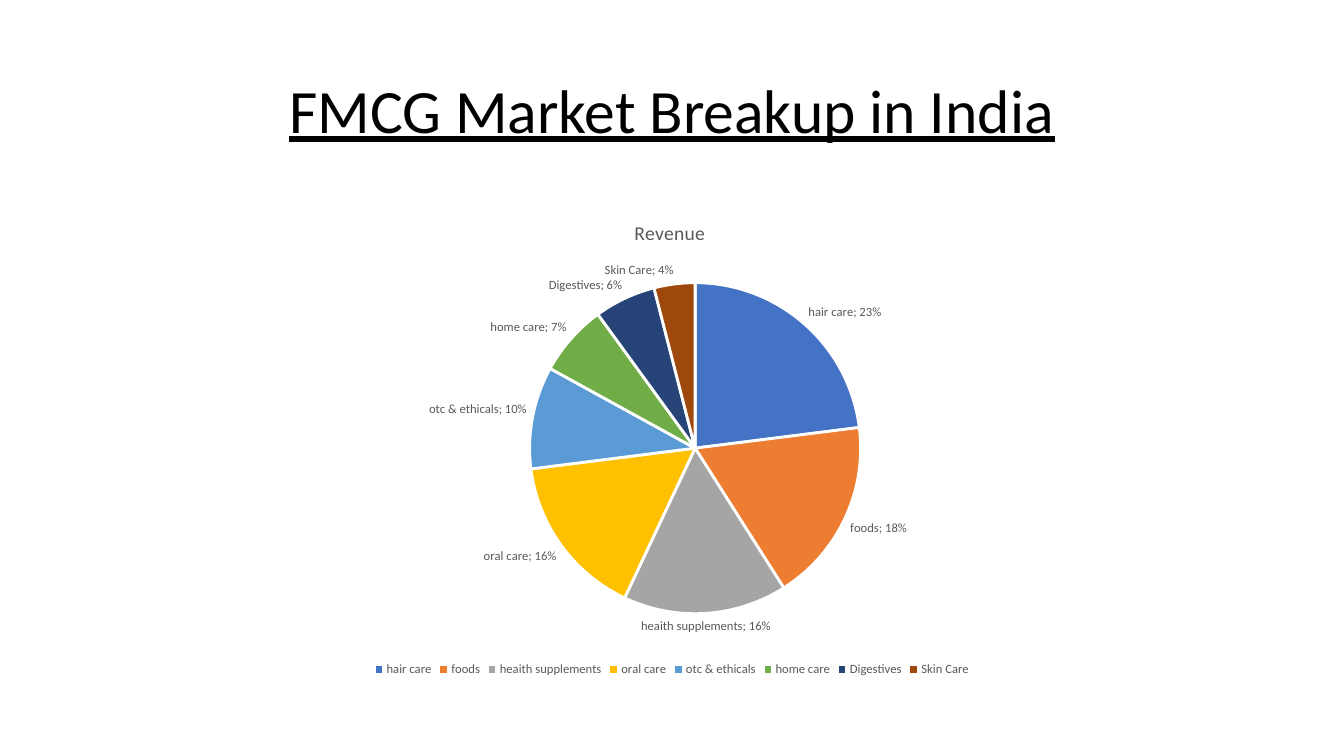
"""Build a slide with a pie chart of the FMCG market breakup in India."""
from lxml.etree import SubElement
from pptx import Presentation
from pptx.chart.data import CategoryChartData
from pptx.dml.color import RGBColor
from pptx.enum.chart import XL_CHART_TYPE, XL_LABEL_POSITION, XL_LEGEND_POSITION
from pptx.enum.text import MSO_ANCHOR, PP_ALIGN
from pptx.oxml.ns import qn
from pptx.util import Cm, Pt

HEADING = "FMCG Market Breakup in India"
CHART_TITLE = "Revenue "
SEGMENTS = [
    ("hair care", 23, "4472C4"),
    ("foods", 18, "ED7D31"),
    ("heaith supplements", 16, "A5A5A5"),
    ("oral care", 16, "FFC000"),
    ("otc & ethicals", 10, "5B9BD5"),
    ("home care", 7, "70AD47"),
    ("Digestives", 6, "264478"),
    ("Skin Care", 4, "9E480E"),
]
PIE_AREA = {"x": 0.37, "y": 0.17, "w": 0.3, "h": 0.69}
LABEL_SEPARATOR = "; "
LEFT, WIDTH = Cm(2.33), Cm(29.21)


def color(hex_code):
    return RGBColor.from_string(hex_code)


def style(font, size, hex_code):
    font.name = "Calibri"
    font.size = Pt(size)
    font.bold = False
    font.color.rgb = color(hex_code)


def add_heading(page):
    box = page.shapes.add_textbox(LEFT, Cm(1.01), WIDTH, Cm(3.68))
    frame = box.text_frame
    frame.word_wrap = True
    frame.vertical_anchor = MSO_ANCHOR.MIDDLE
    para = frame.paragraphs[0]
    para.text = HEADING
    para.alignment = PP_ALIGN.CENTER
    para.line_spacing = 0.9
    style(para.font, 44, "000000")
    para.font.underline = True


def place_pie(chart):
    plot_area = chart.element.find(".//" + qn("c:plotArea"))
    layout = plot_area.find(qn("c:layout"))
    if layout is None:
        layout = SubElement(plot_area, qn("c:layout"))
        plot_area.insert(0, layout)
    manual = SubElement(layout, qn("c:manualLayout"))
    settings = {"layoutTarget": "inner", "xMode": "edge", "yMode": "edge", **PIE_AREA}
    for name, value in settings.items():
        SubElement(manual, qn("c:" + name)).set("val", str(value))


def separate_labels(chart):
    series_labels = chart.element.find(".//" + qn("c:ser") + "/" + qn("c:dLbls"))
    last_flag = series_labels.find(qn("c:showBubbleSize"))
    if last_flag is None:
        last_flag = series_labels.find(qn("c:showPercent"))
    separator = SubElement(series_labels, qn("c:separator"))
    separator.text = LABEL_SEPARATOR
    last_flag.addnext(separator)


def add_pie(page):
    names, values, fills = zip(*SEGMENTS)
    data = CategoryChartData()
    data.categories = names
    data.add_series("Series 1", values)
    chart = page.shapes.add_chart(
        XL_CHART_TYPE.PIE, LEFT, Cm(5.07), WIDTH, Cm(12.09), data
    ).chart
    style(chart.font, 10, "000000")

    chart.has_title = True
    para = chart.chart_title.text_frame.paragraphs[0]
    para.text = CHART_TITLE
    style(para.font, 14, "595959")
    chart.chart_title.include_in_layout = False

    chart.has_legend = True
    chart.legend.position = XL_LEGEND_POSITION.BOTTOM
    chart.legend.include_in_layout = False
    style(chart.legend.font, 9, "595959")

    plot = chart.plots[0]
    plot.vary_by_categories = True
    for index, fill in enumerate(fills):
        piece = plot.series[0].points[index].format
        piece.fill.solid()
        piece.fill.fore_color.rgb = color(fill)
        piece.line.color.rgb = color("FFFFFF")
        piece.line.width = Pt(2)

    labels = plot.series[0].data_labels
    style(labels.font, 9, "595959")
    labels.position = XL_LABEL_POSITION.OUTSIDE_END
    labels.show_value = False
    labels.show_category_name = True
    labels.show_percentage = True
    separate_labels(chart)
    place_pie(chart)


def main():
    deck = Presentation()
    deck.slide_width, deck.slide_height = Cm(33.87), Cm(19.05)
    page = deck.slides.add_slide(deck.slide_layouts[6])
    add_heading(page)
    add_pie(page)
    deck.save("out.pptx")


if __name__ == "__main__":
    main()
